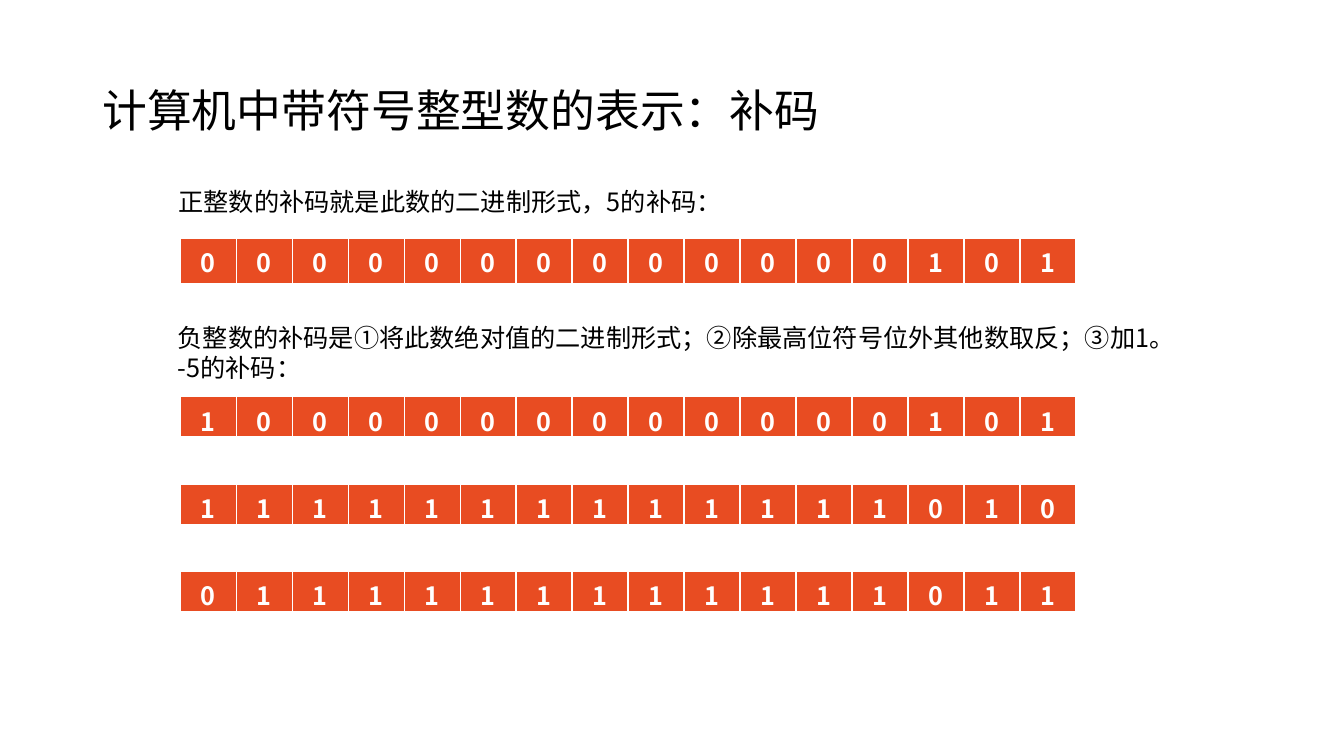
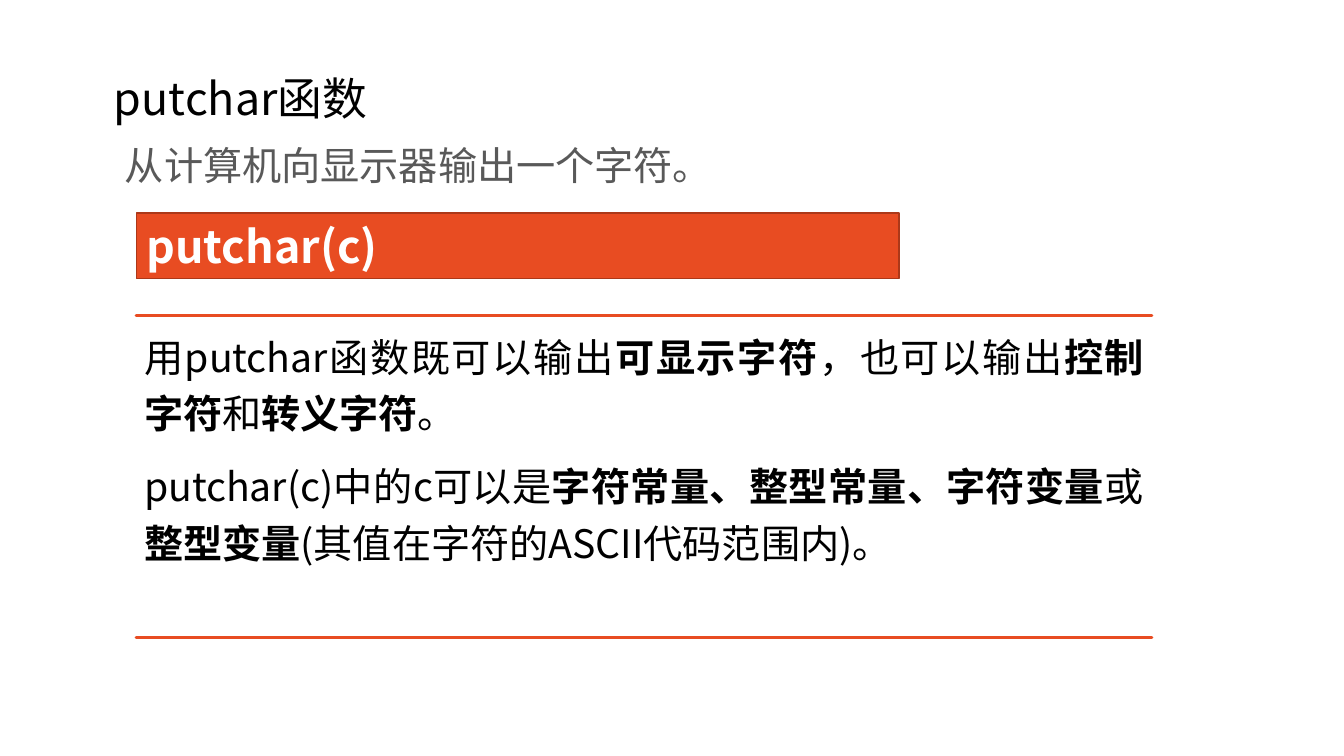
from lxml.etree import SubElement
from pptx import Presentation
from pptx.dml.color import RGBColor
from pptx.enum.shapes import MSO_SHAPE
from pptx.enum.text import MSO_ANCHOR as Anchor, PP_ALIGN as Align
from pptx.oxml import parse_xml
from pptx.oxml.ns import nsdecls, qn
from pptx.util import Cm, Pt

FONT = "Noto Sans CJK SC"
ORANGE = RGBColor(0xE8, 0x4C, 0x22)
RUST = RGBColor(0xAC, 0x38, 0x19)
BLACK = RGBColor(0, 0, 0)
GRAY = RGBColor(0x59, 0x59, 0x59)
WHITE = RGBColor(0xFF, 0xFF, 0xFF)

TITLE = {"size": Pt(32), "color": BLACK}
NOTE = {"size": Pt(18), "color": BLACK}
SUBTITLE = {"size": Pt(28), "color": GRAY}
BODY = {"size": Pt(28), "color": BLACK}
SYNTAX = {"size": Pt(32), "color": WHITE}
BIT = {"size": Pt(18), "color": WHITE, "bold": True}

TIGHT = {"line_spacing": 0.9}
SUBTITLE_SPACING = {"line_spacing": 0.9, "space_before": Pt(10)}
BODY_SPACING = {"alignment": Align.JUSTIFY, "line_spacing": 1.2,
                "space_before": Pt(6), "space_after": Pt(6)}

# A paragraph is a list of (text, bold) pairs.
COMPLEMENT_TITLE = "计算机中带符号整型数的表示：补码"
POSITIVE_NOTE = [[("正整数的补码就是此数的二进制形式，5的补码：", False)]]
NEGATIVE_NOTE = [
    [("负整数的补码是①将此数绝对值的二进制形式；②除最高位符号位外其他数取反；③加1。", False)],
    [("-5的补码：", False)],
]
POSITIVE_BITS = "0000000000000101"
NEGATIVE_STEPS = ["1000000000000101", "1111111111111010", "0111111111111011"]

PUTCHAR_TITLE = "putchar函数"
PUTCHAR_SUMMARY = [[("从计算机向显示器输出一个字符。", False)]]
PUTCHAR_SYNTAX = [[("putchar(c)", True)]]
PUTCHAR_USAGE = [
    [("用putchar函数既可以输出", False), ("可显示字符", True), ("，也可以输出", False),
     ("控制字符", True), ("和", False), ("转义字符", True), ("。", False)],
    [("putchar(c)中的c可以是", False), ("字符常量、整型常量、字符变量", True),
     ("或", False), ("整型变量", True), ("(其值在字符的ASCII代码范围内)。", False)],
]

BITS_LEFT, BITS_WIDTH = 4.54, 22.58
POSITIVE_TOP, POSITIVE_HEIGHT = 6, 1.17
STEPS_TOP, STEP_PITCH, STEP_HEIGHT = 10, 2.2, 1.04
RULE_LEFT, RULE_WIDTH, RULE_TOPS = 3.43, 25.6, (7.95, 16.07)
BORDERS = {"a:lnL": 1, "a:lnR": 1, "a:lnT": 1, "a:lnB": 3}


def add_span(para, text, style):
    span = para.add_run()
    span.text = text
    font = span.font
    font.name = FONT
    font.size = style["size"]
    font.bold = style.get("bold", False)
    font.color.rgb = style["color"]
    SubElement(span._r.get_or_add_rPr(), qn("a:ea")).set("typeface", FONT)


def write(frame, paragraphs, style, spacing, **frame_format):
    frame.word_wrap = True
    for name, value in frame_format.items():
        setattr(frame, name, value)
    for index, spans in enumerate(paragraphs):
        para = frame.add_paragraph() if index else frame.paragraphs[0]
        for name, value in spacing.items():
            setattr(para, name, value)
        for text, bold in spans:
            add_span(para, text, {**style, "bold": bold})


def add_text(page, place, paragraphs, style, spacing, **frame_format):
    box = page.shapes.add_textbox(*map(Cm, place))
    write(box.text_frame, paragraphs, style, spacing, **frame_format)


def add_page(deck, title, place):
    page = deck.slides.add_slide(deck.slide_layouts[6])
    add_text(page, place, [[(title, False)]], TITLE, TIGHT,
             vertical_anchor=Anchor.MIDDLE)
    return page


def set_borders(cell):
    properties = cell._tc.get_or_add_tcPr()
    for index, (tag, points) in enumerate(BORDERS.items()):
        properties.insert(index, parse_xml(
            f'<{tag} {nsdecls("a")} w="{Pt(points)}"><a:solidFill>'
            f'<a:srgbClr val="{WHITE}"/></a:solidFill></{tag}>'))


def add_bits(page, top, height, bits):
    """Draw a binary number as a one-row table, one bit a cell."""
    table = page.shapes.add_table(
        1, len(bits), Cm(BITS_LEFT), Cm(top), Cm(BITS_WIDTH), Cm(height)).table
    for column in table.columns:
        column.width = Cm(BITS_WIDTH / len(bits))
    for cell, bit in zip(table.iter_cells(), bits):
        cell.margin_bottom = 0
        cell.fill.solid()
        cell.fill.fore_color.rgb = ORANGE
        set_borders(cell)
        para = cell.text_frame.paragraphs[0]
        para.alignment = Align.CENTER
        add_span(para, bit, BIT)


def add_ruled_text(page, paragraphs):
    """Draw text between an upper and a lower rule, as one outline."""
    left, right = Cm(RULE_LEFT), Cm(RULE_LEFT + RULE_WIDTH)
    first, last = map(Cm, RULE_TOPS)
    builder = page.shapes.build_freeform(left, last)
    builder.add_line_segments([(right, last)], close=True)
    builder.move_to(left, first)
    builder.add_line_segments([(right, first)], close=True)
    panel = builder.convert_to_shape()
    panel.shadow.inherit = False
    panel.fill.background()
    panel.line.color.rgb = ORANGE
    panel.line.width = Pt(2)
    sides = ("left", "right", "top", "bottom")
    margins = {f"margin_{side}": Cm(0.2) for side in sides}
    write(panel.text_frame, paragraphs, BODY, BODY_SPACING,
          vertical_anchor=Anchor.TOP, **margins)


def add_banner(page, place, paragraphs):
    banner = page.shapes.add_shape(MSO_SHAPE.RECTANGLE, *map(Cm, place))
    banner.shadow.inherit = False
    banner.fill.solid()
    banner.fill.fore_color.rgb = ORANGE
    banner.line.color.rgb = RUST
    banner.line.width = Pt(1)
    write(banner.text_frame, paragraphs, SYNTAX, {"alignment": Align.LEFT},
          vertical_anchor=Anchor.MIDDLE)


def build_complement(deck):
    page = add_page(deck, COMPLEMENT_TITLE, (2.33, 1.02, 29.21, 3.68))
    add_bits(page, POSITIVE_TOP, POSITIVE_HEIGHT, POSITIVE_BITS)
    add_text(page, (4.25, 4.56, 23.93, 1.02), POSITIVE_NOTE, NOTE, {})
    add_text(page, (4.23, 8, 26.5, 1.8), NEGATIVE_NOTE, NOTE, {})
    for index, bits in enumerate(NEGATIVE_STEPS):
        add_bits(page, STEPS_TOP + index * STEP_PITCH, STEP_HEIGHT, bits)


def build_putchar(deck):
    page = add_page(deck, PUTCHAR_TITLE, (2.62, 0.7, 16.46, 3.68))
    add_text(page, (2.9, 3.56, 23.8, 1.63), PUTCHAR_SUMMARY, SUBTITLE, SUBTITLE_SPACING)
    add_banner(page, (3.44, 5.37, 19.22, 1.65), PUTCHAR_SYNTAX)
    add_ruled_text(page, PUTCHAR_USAGE)


def main():
    deck = Presentation()
    deck.slide_width, deck.slide_height = Cm(33.87), Cm(19.05)
    build_complement(deck)
    build_putchar(deck)
    deck.save("out.pptx")


if __name__ == "__main__":
    main()
